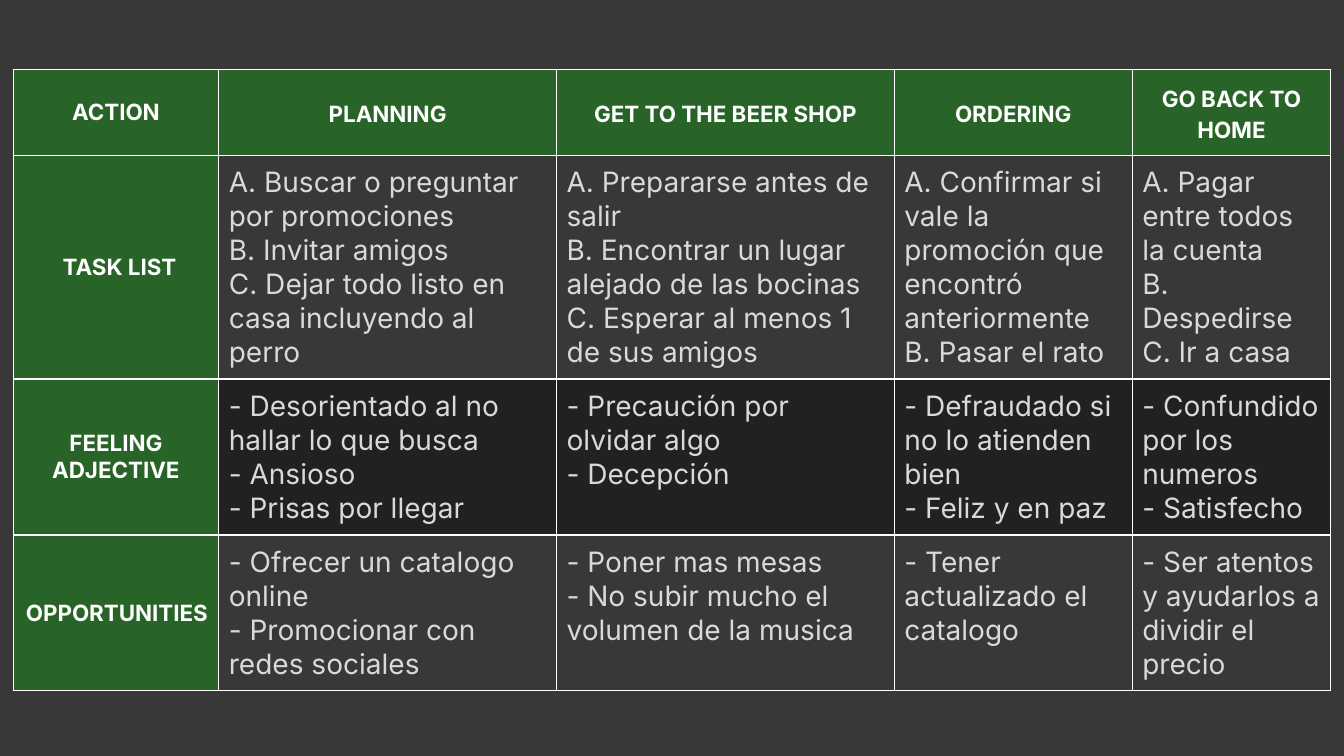
from dataclasses import dataclass

from lxml import etree
from pptx import Presentation
from pptx.dml.color import RGBColor
from pptx.enum import text
from pptx.oxml import ns
from pptx.util import Inches, Pt


@dataclass(frozen=True)
class Theme:
    font: str = "Inter"
    background: str = "383838"
    heading_fill: str = "286428"
    band_fill: str = "212121"
    heading_color: str = "FFFFFF"
    body_color: str = "D9D9D9"
    border: str = "FFFFFF"
    heading_size: int = 16
    body_size: int = 20
    border_width: int = 1


THEME = Theme()
COLUMN_WIDTHS = [2.04, 3.35, 3.35, 2.36, 1.97]
ROW_HEIGHTS = [0.85, 0.9, 1.45, 1.53]
BANDED_ROW = 2
JOURNEY = [
    ["ACTION", "PLANNING", "GET TO THE BEER SHOP", "ORDERING", "GO BACK TO HOME"],
    [
        "TASK LIST",
        "A. Buscar o preguntar por promociones\nB. Invitar amigos\n"
        "C. Dejar todo listo en casa incluyendo al perro",
        "A. Prepararse antes de salir\nB. Encontrar un lugar alejado de las bocinas\n"
        "C. Esperar al menos 1 de sus amigos",
        "A. Confirmar si vale la promoción que encontró anteriormente\nB. Pasar el rato",
        "A. Pagar entre todos la cuenta\nB. Despedirse\nC. Ir a casa",
    ],
    [
        "FEELING ADJECTIVE",
        "- Desorientado al no hallar lo que busca\n- Ansioso\n- Prisas por llegar",
        "- Precaución por olvidar algo\n- Decepción",
        "- Defraudado si no lo atienden bien\n- Feliz y en paz",
        "- Confundido por los numeros\n- Satisfecho",
    ],
    [
        "OPPORTUNITIES",
        "- Ofrecer un catalogo online\n- Promocionar con redes sociales",
        "- Poner mas mesas\n- No subir mucho el volumen de la musica",
        "- Tener actualizado el catalogo",
        "- Ser atentos y ayudarlos a dividir el precio",
    ],
]


def write_text(tf, content, *, size, color, bold=False,
               align=text.PP_ALIGN.LEFT, spacing=None, margin=0, indent=0):
    for i, line in enumerate(content.split("\n")):
        p = tf.paragraphs[0] if i == 0 else tf.add_paragraph()
        p.alignment = align
        if spacing:
            p.line_spacing = spacing
        if margin:
            pPr = p._p.get_or_add_pPr()
            pPr.set("marL", str(Inches(margin)))
            pPr.set("indent", str(Inches(indent)))
        r = p.add_run()
        r.text = line
        r.font.name = THEME.font
        r.font.size = Pt(size)
        r.font.bold = bold
        r.font.color.rgb = RGBColor.from_string(color)


def fill_cell(cell, color):
    if color:
        cell.fill.solid()
        cell.fill.fore_color.rgb = RGBColor.from_string(color)
    else:
        cell.fill.background()


def draw_borders(cell):
    tcPr = cell._tc.get_or_add_tcPr()
    for i, side in enumerate(("lnL", "lnR", "lnT", "lnB")):
        ln = etree.Element(ns.qn(f"a:{side}"), w=str(Pt(THEME.border_width)))
        fill = etree.SubElement(ln, ns.qn("a:solidFill"))
        etree.SubElement(fill, ns.qn("a:srgbClr"), val=THEME.border)
        tcPr.insert(i, ln)


def set_margins(cell, left=0.1):
    cell.margin_left = Inches(left)
    cell.margin_right = cell.margin_top = cell.margin_bottom = Inches(0.1)


def heading_cell(cell, content, left=0.1, **paragraph):
    set_margins(cell, left)
    cell.vertical_anchor = text.MSO_ANCHOR.MIDDLE
    write_text(cell.text_frame, content, size=THEME.heading_size,
               color=THEME.heading_color, bold=True,
               align=text.PP_ALIGN.CENTER, **paragraph)
    fill_cell(cell, THEME.heading_fill)
    draw_borders(cell)


def body_cell(cell, content, fill=None):
    set_margins(cell)
    cell.vertical_anchor = text.MSO_ANCHOR.TOP
    write_text(cell.text_frame, content, size=THEME.body_size, color=THEME.body_color)
    fill_cell(cell, fill)
    draw_borders(cell)


def add_journey_table(s):
    table = s.shapes.add_table(
        len(ROW_HEIGHTS), len(COLUMN_WIDTHS), Inches(0.13), Inches(0.69),
        Inches(sum(COLUMN_WIDTHS)), Inches(sum(ROW_HEIGHTS))).table
    table.first_row = table.horz_banding = False
    for column, width in zip(table.columns, COLUMN_WIDTHS):
        column.width = Inches(width)
    for row, height in zip(table.rows, ROW_HEIGHTS):
        row.height = Inches(height)

    row_formats = {"TASK LIST": {"margin": 0.19, "indent": -0.12},
                   "OPPORTUNITIES": {"left": 0.12}}
    for i, contents in enumerate(JOURNEY):
        for j, content in enumerate(contents):
            cell = table.cell(i, j)
            if j == 0:
                heading_cell(cell, content, **row_formats.get(content, {}))
            elif i == 0:
                heading_cell(cell, content, spacing=1.15)
            else:
                body_cell(cell, content, THEME.band_fill if i == BANDED_ROW else None)


def main():
    prs = Presentation()
    prs.slide_width, prs.slide_height = Inches(13.33), Inches(7.5)
    s = prs.slides.add_slide(prs.slide_layouts[6])
    s.background.fill.solid()
    s.background.fill.fore_color.rgb = RGBColor.from_string(THEME.background)
    add_journey_table(s)
    prs.save("out.pptx")


if __name__ == "__main__":
    main()
